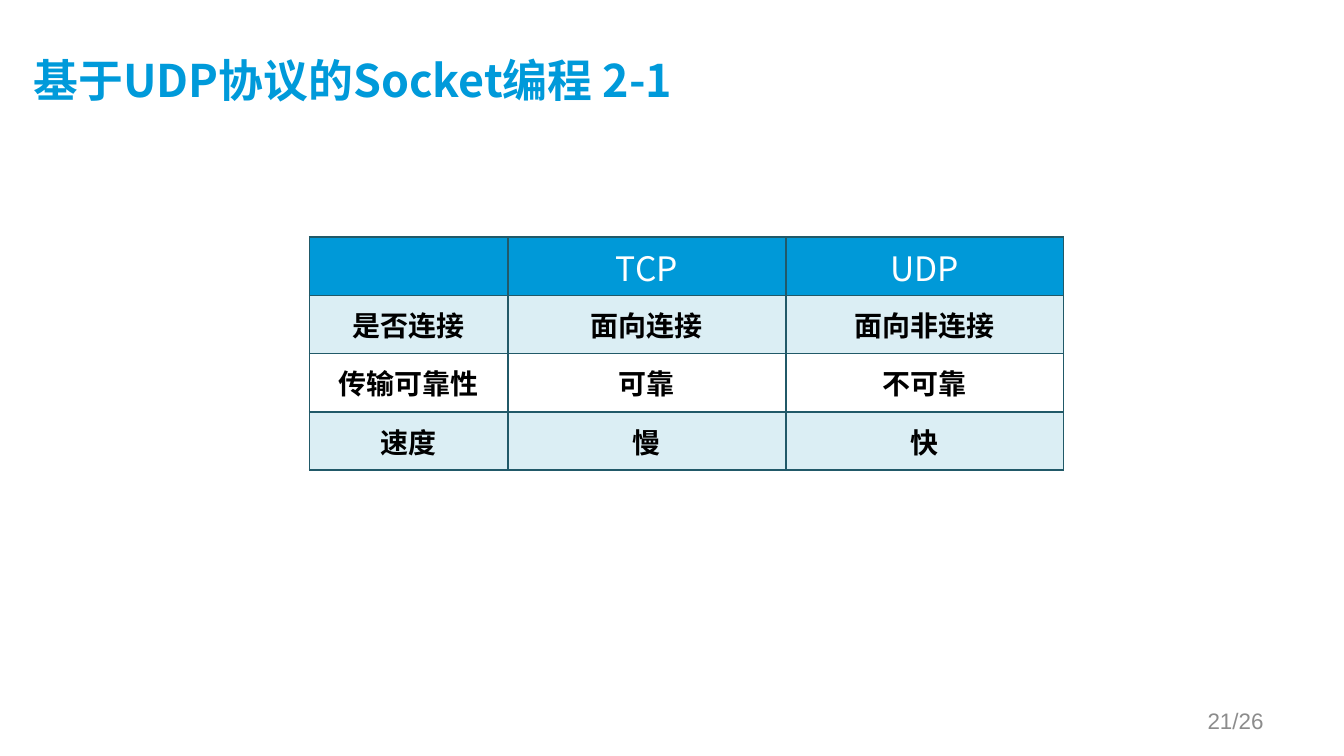
from lxml import etree
from pptx import Presentation
from pptx.dml.color import RGBColor
from pptx.enum.text import MSO_ANCHOR, PP_ALIGN
from pptx.oxml.ns import qn
from pptx.util import Cm, Pt

MIDDLE = MSO_ANCHOR.MIDDLE
LEFT, CENTER, RIGHT = PP_ALIGN.LEFT, PP_ALIGN.CENTER, PP_ALIGN.RIGHT

TITLE = RGBColor(0x00, 0x9A, 0xDA)
HEAD = RGBColor(0x00, 0x99, 0xD8)
BAND = RGBColor(0xDB, 0xEE, 0xF4)
EDGE = RGBColor(0x21, 0x59, 0x68)
WHITE = RGBColor(0xFF, 0xFF, 0xFF)
BLACK = RGBColor(0x00, 0x00, 0x00)
GRAY = RGBColor(0x8C, 0x8C, 0x8C)
SANS = "Noto Sans CJK SC"


def write(frame, text, size, color, align, bold=False, face=SANS):
    """Put one styled run in the first paragraph, with Latin and East Asian fonts."""
    para = frame.paragraphs[0]
    para.alignment = align
    run = para.add_run()
    run.text = text
    font = run.font
    font.size, font.bold, font.name = Pt(size), bold, face
    font.color.rgb = color
    etree.SubElement(font._element, qn("a:ea"), typeface=face)


def edge(cell):
    """Draw a thin line on all four sides; call before the cell is filled."""
    props = cell._tc.get_or_add_tcPr()
    for side in ("lnL", "lnR", "lnT", "lnB"):
        line = etree.SubElement(props, qn(f"a:{side}"), w=str(Pt(1)))
        fill = etree.SubElement(line, qn("a:solidFill"))
        etree.SubElement(fill, qn("a:srgbClr"), val=str(EDGE))


deck = Presentation()
deck.slide_width, deck.slide_height = Cm(25.4), Cm(14.28)
slide = deck.slides.add_slide(deck.slide_layouts[6])

# Title
title = slide.shapes.add_textbox(Cm(0.64), Cm(0.58), Cm(22.89), Cm(1.96)).text_frame
title.word_wrap = True
title.vertical_anchor = MIDDLE
title.margin_left = title.margin_top = 0
write(title, "基于UDP协议的Socket编程 2-1", 24, TITLE, LEFT, bold=True)

# Comparison table
rows = [
    ("", "TCP", "UDP"),
    ("是否连接", "面向连接", "面向非连接"),
    ("传输可靠性", "可靠", "不可靠"),
    ("速度", "慢", "快"),
]
widths = [3.75, 5.25, 5.25]
high = 1.1
table = slide.shapes.add_table(
    len(rows), len(widths), Cm(5.85), Cm(4.48), Cm(sum(widths)), Cm(high * len(rows))
).table
for col, width in zip(table.columns, widths):
    col.width = Cm(width)

for r, row in enumerate(rows):
    table.rows[r].height = Cm(high)
    for c, text in enumerate(row):
        cell = table.cell(r, c)
        cell.vertical_anchor = MIDDLE
        cell.margin_left = cell.margin_right = Cm(0.2)
        cell.margin_top = cell.margin_bottom = Cm(0.1)
        edge(cell)
        if r == 2:
            cell.fill.background()
        else:
            cell.fill.solid()
            cell.fill.fore_color.rgb = BAND if r else HEAD
        if text:
            size, color = (15, BLACK) if r else (18, WHITE)
            write(cell.text_frame, text, size, color, CENTER, bold=r > 0)

# Page number
page = slide.shapes.add_textbox(Cm(18.21), Cm(13.23), Cm(5.92), Cm(0.76)).text_frame
page.word_wrap = True
page.vertical_anchor = MIDDLE
write(page, "21/26", 12, GRAY, RIGHT, face="Arial")

deck.save("out.pptx")
